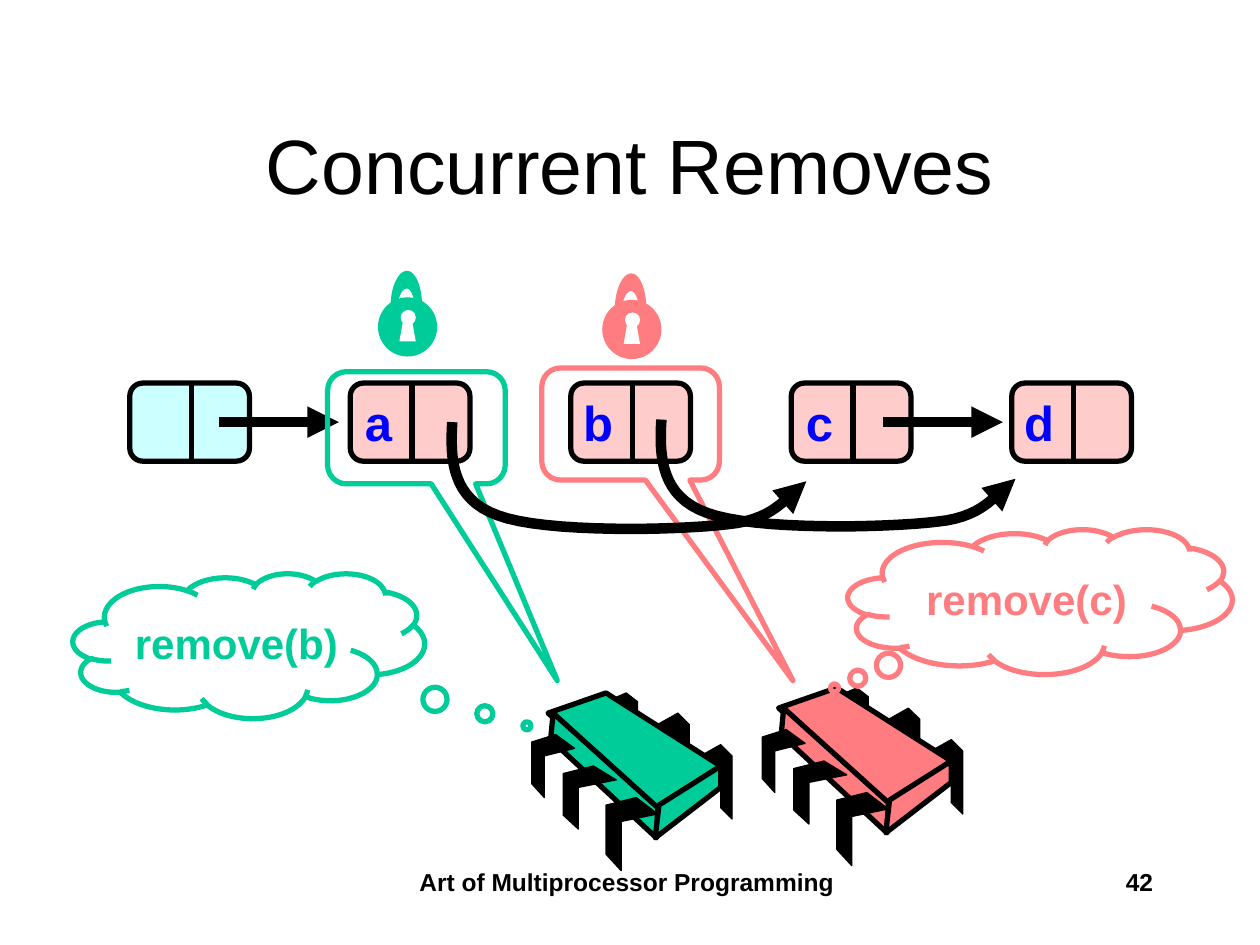
from typing import NamedTuple

from lxml.etree import SubElement
from pptx import Presentation
from pptx.dml.color import RGBColor
from pptx.enum.shapes import MSO_CONNECTOR, MSO_SHAPE
from pptx.enum.text import MSO_ANCHOR, PP_ALIGN
from pptx.oxml.ns import qn
from pptx.util import Inches, Pt

BLACK, WHITE, BLUE = "000000", "FFFFFF", "0000FF"
GREEN, PINK = "00CC99", "FF7C80"
HEAD_FILL, NODE_FILL = "CCFFFF", "FFCCCC"
NODE_TOP, NODE_WIDTH, NODE_HEIGHT = 3.04, 0.95, 0.62
Point = tuple[float, float]


class Node(NamedTuple):
    left: float
    label: str
    fill: str


class Actor(NamedTuple):
    """One thread: its chip, lock, callout and thought cloud."""
    color: str
    chip: Point
    lock: Point
    callout: Point
    callout_tip: Point
    cloud: tuple[float, float, float]
    cloud_tip: Point
    thought: str


NODES = [
    Node(1.03, "", HEAD_FILL),
    Node(2.78, "a", NODE_FILL),
    Node(4.53, "b", NODE_FILL),
    Node(6.28, "c", NODE_FILL),
    Node(8.03, "d", NODE_FILL),
]
ACTORS = [
    Actor(GREEN, (4.22, 5.5), (3.0, 2.15), (2.6, 2.95), (0.793, 2.254),
          (0.58, 4.55, 2.79), (0.791, 0.553), "remove(b)"),
    Actor(PINK, (6.05, 5.46), (4.78, 2.17), (4.3, 2.92), (0.914, 2.289),
          (6.73, 4.2, 3.05), (-0.535, 0.596), "remove(c)"),
]

# Chip outlines, relative to the chip's top left corner
BACK_LEG = [(0, 0.09), (0.16, 0), (0.25, 0.09), (0.25, 0.59),
            (0.16, 0.5), (0.16, 0.17), (0, 0.25)]
SHORT_BACK_LEG = [(0, 0.07), (0.16, 0), (0.25, 0.07), (0.25, 0.5),
                  (0.16, 0.43), (0.16, 0.14), (0, 0.21)]
BACK_LEGS = [(BACK_LEG, (1.34, 0.41)), (BACK_LEG, (1.0, 0.16)),
             (SHORT_BACK_LEG, (0.59, 0))]
BODY_FACES = [
    [(0.59, 0), (1.5, 0.58), (0.99, 0.93), (0.13, 0.16)],
    [(0.17, 0.16), (1.0, 0.91), (0.99, 1.15), (0.15, 0.37)],
    [(1.5, 0.58), (1.5, 0.75), (0.98, 1.15), (1.01, 0.89)],
]
FRONT_LEGS = [
    [(0.83, 0.83), (1.0, 0.96), (0.71, 1.02), (0.71, 1.41), (0.59, 1.28), (0.59, 0.89)],
    [(0.49, 0.58), (0.67, 0.69), (0.37, 0.75), (0.37, 1.08), (0.25, 0.97), (0.25, 0.64)],
    [(0.19, 0.33), (0.34, 0.44), (0.1, 0.5), (0.1, 0.83), (0, 0.72), (0, 0.39)],
]
KEYHOLE = [(0.17, 0.56), (0.2, 0.39), (0.27, 0.39), (0.3, 0.56)]
SHACKLE_INNER = [(0.16, 0.28), (0.16, 0.21), (0.19, 0.14), (0.23, 0.14),
                 (0.26, 0.14), (0.29, 0.21), (0.29, 0.28)]
SHACKLE_OUTER = [(0.35, 0.28), (0.35, 0.13), (0.3, 0), (0.23, 0),
                 (0.16, 0), (0.1, 0.13), (0.1, 0.28)]
BYPASS = [(0.02, 0), (0, 0.3), (0.02, 0.61), (0.38, 0.74), (0.75, 0.88),
          (1.8, 0.86), (2.21, 0.81), (2.62, 0.77), (2.7, 0.54), (2.83, 0.47)]


def rgb(color: str) -> RGBColor:
    return RGBColor.from_string(color)


def paint(shape, fill: str | None, line: str | None = None, width: float = 3) -> None:
    shape.shadow.inherit = False
    if fill:
        shape.fill.solid()
        shape.fill.fore_color.rgb = rgb(fill)
    else:
        shape.fill.background()
    if line:
        shape.line.color.rgb = rgb(line)
        shape.line.width = Pt(width)
    else:
        shape.line.fill.background()


def add_arrowhead(shape) -> None:
    outline = shape._element.spPr.find(qn("a:ln"))
    SubElement(outline, qn("a:tailEnd"), type="triangle")


def write(shape, text: str, size: float, color: str, bold: bool = True,
          align=PP_ALIGN.CENTER, anchor=MSO_ANCHOR.TOP, wrap: bool = True) -> None:
    frame = shape.text_frame
    frame.text = text
    frame.word_wrap = wrap
    frame.vertical_anchor = anchor
    paragraph = frame.paragraphs[0]
    paragraph.alignment = align
    font = paragraph.runs[0].font
    font.name, font.size, font.bold = "Arial", Pt(size), bold
    font.color.rgb = rgb(color)


def add_text(shapes, left: float, top: float, width: float, height: float, text: str,
             size: float, color: str = BLACK, **options) -> None:
    box = shapes.add_textbox(Inches(left), Inches(top), Inches(width), Inches(height))
    write(box, text, size, color, **options)


def add_preset(shapes, kind, left: float, top: float, width: float, height: float,
               adjustments: tuple[float, ...] = ()):
    shape = shapes.add_shape(kind, Inches(left), Inches(top), Inches(width), Inches(height))
    for index, value in enumerate(adjustments):
        shape.adjustments[index] = value
    return shape


def add_line(shapes, start: Point, end: Point, width: float):
    line = shapes.add_connector(MSO_CONNECTOR.STRAIGHT,
                                *(Inches(value) for value in start + end))
    line.line.color.rgb = rgb(BLACK)
    line.line.width = Pt(width)
    SubElement(line._element.spPr, qn("a:effectLst"))
    return line


def add_outline(shapes, points: list[Point], origin: Point, close: bool = True):
    placed = [(Inches(origin[0] + x), Inches(origin[1] + y)) for x, y in points]
    builder = shapes.build_freeform(*placed[0])
    builder.add_line_segments(placed[1:], close=close)
    return builder.convert_to_shape()


def curve(controls: list[Point], steps: int = 16) -> list[Point]:
    """Points along a chain of cubic Bezier segments."""
    points = [controls[0]]
    for first in range(0, len(controls) - 1, 3):
        segment = controls[first:first + 4]
        for step in range(1, steps + 1):
            t = step / steps
            weights = ((1 - t) ** 3, 3 * t * (1 - t) ** 2, 3 * t * t * (1 - t), t ** 3)
            x, y = (sum(w * p[axis] for w, p in zip(weights, segment)) for axis in (0, 1))
            points.append((x, y))
    return points


def draw_node(slide, node: Node) -> None:
    shapes = slide.shapes.add_group_shape().shapes
    box = add_preset(shapes, MSO_SHAPE.ROUNDED_RECTANGLE, node.left, NODE_TOP,
                     NODE_WIDTH, NODE_HEIGHT, (0.167,))
    paint(box, node.fill, BLACK)
    middle = node.left + 0.49
    add_line(shapes, (middle, 3.03), (middle, 3.67), 3)
    if node.label:
        add_text(shapes, node.left, 3.07, 0.43, 0.57, node.label, 28, BLUE,
                 align=PP_ALIGN.RIGHT, wrap=False)


def draw_chip(slide, actor: Actor) -> None:
    shapes = slide.shapes.add_group_shape().shapes
    x, y = actor.chip
    for leg, (dx, dy) in BACK_LEGS:
        paint(add_outline(shapes, leg, (x + dx, y + dy)), BLACK, BLACK, 0.75)
    for face in BODY_FACES:
        paint(add_outline(shapes, face, actor.chip), actor.color, BLACK)
    for leg in FRONT_LEGS:
        paint(add_outline(shapes, leg, actor.chip), BLACK, BLACK, 0.75)


def draw_lock(slide, actor: Actor) -> None:
    shapes = slide.shapes.add_group_shape().shapes
    x, y = actor.lock
    paint(add_preset(shapes, MSO_SHAPE.OVAL, x, y + 0.21, 0.47, 0.47), actor.color)
    paint(add_preset(shapes, MSO_SHAPE.OVAL, x + 0.18, y + 0.31, 0.12, 0.12), WHITE)
    paint(add_outline(shapes, KEYHOLE, actor.lock), WHITE)
    shackle = curve(SHACKLE_INNER) + curve(SHACKLE_OUTER)
    paint(add_outline(shapes, shackle, actor.lock), actor.color)


def main() -> None:
    presentation = Presentation()
    presentation.slide_width, presentation.slide_height = Inches(10), Inches(7.5)
    slide = presentation.slides.add_slide(presentation.slide_layouts[6])
    shapes = slide.shapes

    # Title and footer
    add_text(shapes, 0.75, 0.67, 8.5, 1.25, "Concurrent Removes", 44,
             bold=False, anchor=MSO_ANCHOR.MIDDLE)
    add_text(shapes, 3.1, 6.83, 3.75, 0.5, "Art of Multiprocessor Programming", 14)
    add_text(shapes, 7.17, 6.83, 2.08, 0.5, "42", 14, align=PP_ALIGN.RIGHT)

    # Linked list
    for node in NODES:
        draw_node(slide, node)
    for left in (1.74, 7.01):
        add_arrowhead(add_line(shapes, (left, 3.35), (left + 0.95, 3.35), 6))

    # Threads with their locks
    for actor in ACTORS:
        draw_chip(slide, actor)
        callout = add_preset(shapes, MSO_SHAPE.ROUNDED_RECTANGULAR_CALLOUT, *actor.callout,
                             1.41, 0.89, (*actor.callout_tip, 0.167))
        paint(callout, None, actor.color)
        draw_lock(slide, actor)

    # Redirected links
    for origin in ((5.23, 3.33), (3.57, 3.35)):
        link = add_outline(shapes, curve(BYPASS), origin, close=False)
        paint(link, None, BLACK, 6)
        add_arrowhead(link)

    # Thoughts
    for actor in ACTORS:
        cloud = add_preset(shapes, MSO_SHAPE.CLOUD_CALLOUT, *actor.cloud, 1.15, actor.cloud_tip)
        paint(cloud, None, actor.color)
        write(cloud, actor.thought, 24, actor.color, anchor=MSO_ANCHOR.MIDDLE)

    presentation.save("out.pptx")


if __name__ == "__main__":
    main()
